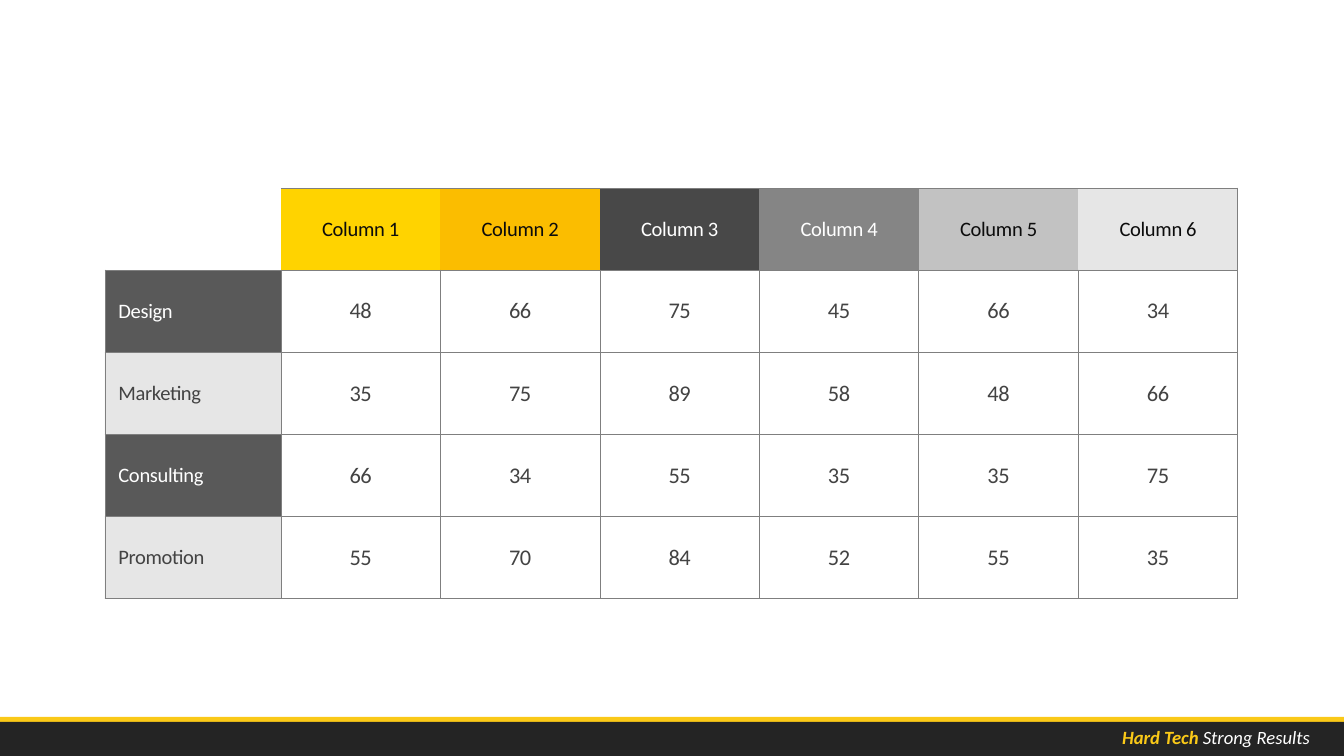
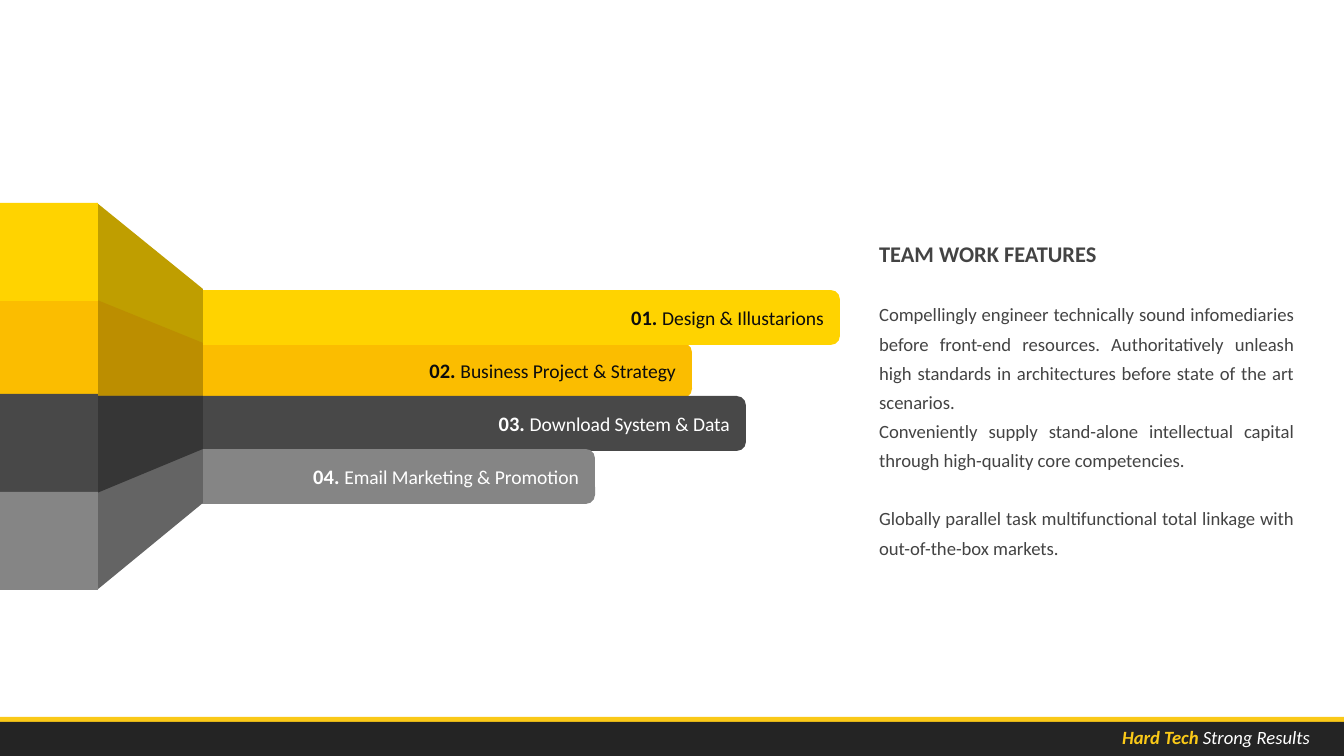
import pptx
import pptx.util
import pptx.dml.color
import pptx.enum.shapes
import pptx.enum.text
import pptx.oxml.ns
import lxml.etree

SCALE = 914400 / 134.4  # EMU in one px
WIDE, HIGH = 1344, 756
ALIGN = pptx.enum.text.PP_ALIGN
MIDDLE = pptx.enum.text.MSO_ANCHOR.MIDDLE
FORM = pptx.enum.shapes.MSO_SHAPE


class Theme:
    font = "Calibri"
    gold, band, white = "FAC918", "242424", "FFFFFF"
    ink, body = "0C0C0C", "434343"
    yellow, amber, dark, gray = "FFD300", "FBBD00", "484848", "858585"
    silver, pale = "C2C2C2", "E6E6E6"
    label, rule = "595959", "7F7F7F"
    # darker sides of the folded strips
    folds = ("BF9E00", "BC8E00", "363636", "646464")
    small, text, head, value = 10, 10.5, 11, 12


def px(n):
    return pptx.util.Emu(round(n * SCALE))


def rgb(code):
    return pptx.dml.color.RGBColor.from_string(code)


def tag(parent, name, **attrs):
    return lxml.etree.SubElement(parent, pptx.oxml.ns.qn(name), attrs)


# Text
def write(para, text, size=Theme.small, color=Theme.body, bold=False,
          italic=False, align=None, track=None):
    run = para.add_run()
    run.text = text
    font = run.font
    font.name, font.size = Theme.font, pptx.util.Pt(size)
    font.bold, font.italic = bold, italic
    font.color.rgb = rgb(color)
    if align is not None:
        para.alignment = align
    if track is not None:
        run._r.get_or_add_rPr().set("spc", str(track))


def box(slide, x, y, w, h):
    frame = slide.shapes.add_textbox(px(x), px(y), px(w), px(h)).text_frame
    frame.word_wrap = True
    return frame


# Shapes
def paint(shape, color):
    shape.shadow.inherit = False
    shape.fill.solid()
    shape.fill.fore_color.rgb = rgb(color)
    shape.line.fill.background()
    return shape


def block(slide, x, y, w, h, color, form=FORM.RECTANGLE):
    shape = slide.shapes.add_shape(form, px(x), px(y), px(w), px(h))
    return paint(shape, color)


def outline(slide, points, color):
    pen = slide.shapes.build_freeform(*points[0], scale=SCALE)
    pen.add_line_segments(points[1:], close=True)
    paint(pen.convert_to_shape(), color)


def footer(slide):
    block(slide, 0, 717, WIDE, 35, Theme.gold)
    block(slide, 0, 722, WIDE, 34, Theme.band)
    para = box(slide, 1077, 719, 246, 36).paragraphs[0]
    write(para, "Hard Tech ", color=Theme.gold, bold=True, italic=True,
          align=ALIGN.RIGHT)
    write(para, "Strong Results", color=Theme.white, italic=True)


# Table
def border(cell, sides):
    props = cell._tc.get_or_add_tcPr()
    for side in "LRTB":
        line = tag(props, "a:ln" + side, w="6350")
        if side in sides:
            fill = tag(line, "a:solidFill")
            tint = tag(fill, "a:srgbClr", val=Theme.rule)
            tag(tint, "a:alpha", val="50000")
            tag(line, "a:prstDash", val="solid")
        else:
            tag(line, "a:noFill")


def style(cell, sides, text="", fill=None, alpha=None, **look):
    border(cell, sides)
    cell.vertical_anchor = MIDDLE
    if fill:
        cell.fill.solid()
        cell.fill.fore_color.rgb = rgb(fill)
    else:
        cell.fill.background()
    if alpha:
        props = cell._tc.get_or_add_tcPr()
        tint = props.find(pptx.oxml.ns.qn("a:solidFill"))[0]
        tag(tint, "a:alpha", val=str(alpha * 1000))
    if text:
        write(cell.text_frame.paragraphs[0], text, track=-20, **look)


def grid(slide):
    heads = [(Theme.yellow, Theme.ink), (Theme.amber, Theme.ink),
             (Theme.dark, Theme.white), (Theme.gray, Theme.white),
             (Theme.silver, Theme.ink), (Theme.pale, Theme.ink)]
    rows = [("Design", 48, 66, 75, 45, 66, 34),
            ("Marketing", 35, 75, 89, 58, 48, 66),
            ("Consulting", 66, 34, 55, 35, 35, 75),
            ("Promotion", 55, 70, 84, 52, 55, 35)]
    wide, high, first = 1133, 411, 176
    table = slide.shapes.add_table(len(rows) + 1, len(heads) + 1, px(105),
                                   px(188), px(wide), px(high)).table
    table.first_row = table.horz_banding = False
    for i, col in enumerate(table.columns):
        col.width = px((wide - first) / len(heads) if i else first)
    for row in table.rows:
        row.height = px(high / (len(rows) + 1))

    # Header row
    style(table.cell(0, 0), "B")
    for c, (fill, color) in enumerate(heads, 1):
        style(table.cell(0, c), "TBR" if c == len(heads) else "TB",
              f"Column {c}", fill, size=Theme.head, color=color,
              align=ALIGN.CENTER)
    # Body rows, with every second label faded
    for r, (name, *values) in enumerate(rows, 1):
        faded = r % 2 == 0
        style(table.cell(r, 0), "LRTB", name, Theme.label,
              15 if faded else None, size=Theme.head,
              color=Theme.body if faded else Theme.white)
        for c, value in enumerate(values, 1):
            style(table.cell(r, c), "LRTB", str(value), size=Theme.value,
                  align=ALIGN.CENTER)


# Folded strips
def strips(slide):
    # left, right, fill, text colour, label
    bars = [(175, 840, Theme.yellow, Theme.ink, "Design & Illustarions"),
            (181, 692, Theme.amber, Theme.ink, "Business Project & Strategy"),
            (179, 746, Theme.dark, Theme.white, "Download System & Data"),
            (185, 595, Theme.gray, Theme.white, "Email Marketing & Promotion")]
    order = (1, 2, 3, 0)  # the top strip lies in front
    for i in order:
        left, right, fill, color, label = bars[i]
        bar = block(slide, left, 290 + 53 * i, right - left, 55, fill,
                    FORM.ROUNDED_RECTANGLE)
        bar.text_frame.vertical_anchor = MIDDLE
        para = bar.text_frame.paragraphs[0]
        write(para, f"{i + 1:02}. ", size=Theme.head, color=color, bold=True,
              align=ALIGN.RIGHT)
        write(para, label, size=Theme.text, color=color)

    # Sides narrow from the outer edge to the bars
    near, far, mid = 97, 203, 396
    edges = [(203, 289), (300, 343), (493, 449), (590, 503)]
    for i in (0, 1, 3, 2):
        outer, inner = edges[i]
        outline(slide, [(far, inner), (near, outer), (near, mid), (far, mid)],
                Theme.folds[i])

    tops = (203, 298, 394, 492)
    for i in order:
        block(slide, 0, tops[i], 98, 98, bars[i][2])


def story(slide):
    gap = 15.6  # one empty line
    parts = [
        ("TEAM WORK FEATURES", gap),
        ("Compellingly engineer technically sound infomediaries before "
         "front-end resources. Authoritatively unleash high standards in "
         "architectures before state of the art scenarios.", 0),
        ("Conveniently supply stand-alone intellectual capital through "
         "high-quality core competencies.", gap),
        ("Globally parallel task multifunctional total linkage with "
         "out-of-the-box markets.", 0)]
    frame = box(slide, 866, 226, 441, 343)
    for i, (text, after) in enumerate(parts):
        para = frame.add_paragraph() if i else frame.paragraphs[0]
        para.line_spacing = 1.3
        para.space_after = pptx.util.Pt(after)
        write(para, text, size=Theme.small if i else Theme.value,
              bold=i == 0, align=ALIGN.JUSTIFY)


def main():
    deck = pptx.Presentation()
    deck.slide_width, deck.slide_height = px(WIDE), px(HIGH)
    for parts in ((grid,), (strips, story)):
        slide = deck.slides.add_slide(deck.slide_layouts[6])
        footer(slide)
        for part in parts:
            part(slide)
    deck.save("out.pptx")


if __name__ == "__main__":
    main()
